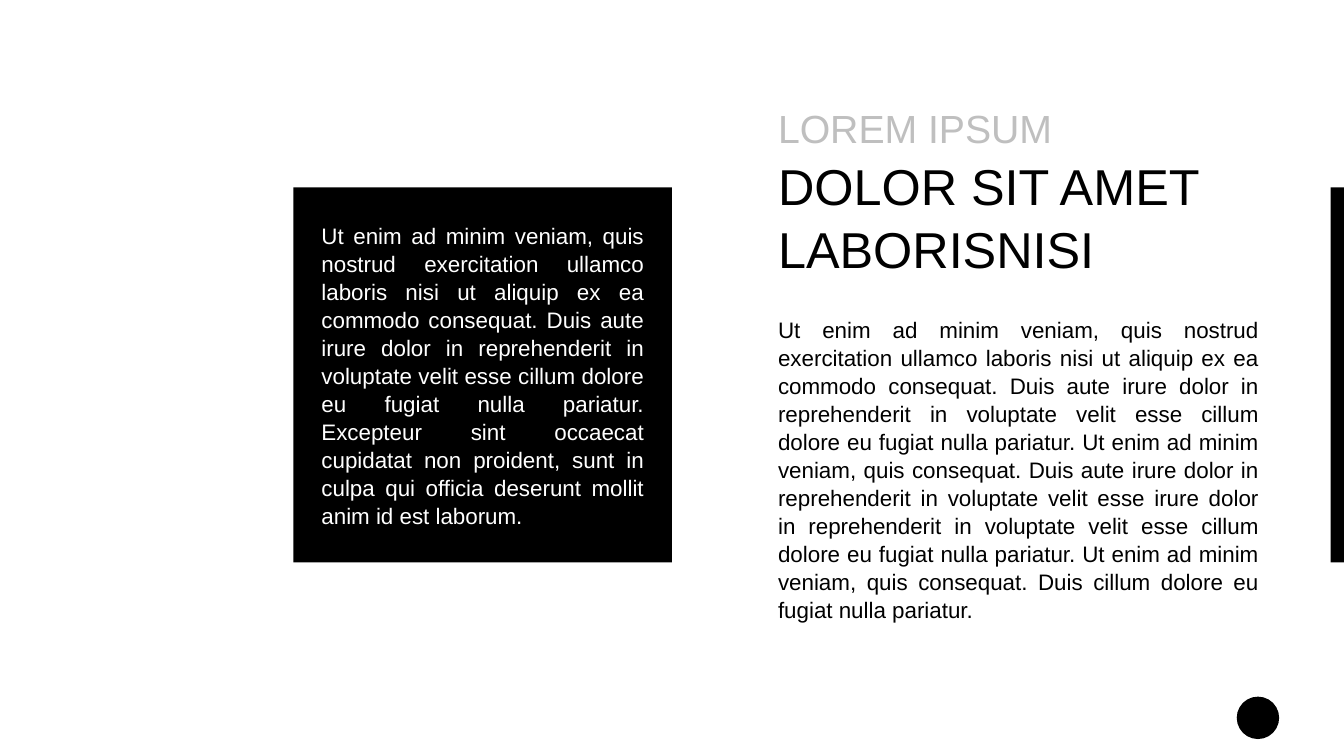
from dataclasses import dataclass

from pptx import Presentation
from pptx import util as u
from pptx.dml.color import RGBColor
from pptx.enum import shapes, text


@dataclass(frozen=True)
class Theme:
    font: str = "Arial"
    black: str = "000000"
    white: str = "FFFFFF"
    gray: str = "BFBFBF"
    body: int = 16
    lead: int = 28
    title: int = 36
    tight: float = 1.04
    loose: float = 1.05


THEME = Theme()
LEFT, JUST = text.PP_ALIGN.LEFT, text.PP_ALIGN.JUSTIFY
TOP, MID = text.MSO_ANCHOR.TOP, text.MSO_ANCHOR.MIDDLE
RECT, OVAL = shapes.MSO_SHAPE.RECTANGLE, shapes.MSO_SHAPE.OVAL

CARD = (
    "Ut enim ad minim veniam, quis nostrud exercitation ullamco laboris nisi "
    "ut aliquip ex ea commodo consequat. Duis aute irure dolor in "
    "reprehenderit in voluptate velit esse cillum dolore eu fugiat nulla "
    "pariatur. Excepteur sint occaecat cupidatat non proident, sunt in culpa "
    "qui officia deserunt mollit anim id est laborum."
)
BODY = (
    "Ut enim ad minim veniam, quis nostrud exercitation ullamco laboris nisi "
    "ut aliquip ex ea commodo consequat. Duis aute irure dolor in "
    "reprehenderit in voluptate velit esse cillum dolore eu fugiat nulla "
    "pariatur. Ut enim ad minim veniam, quis consequat. Duis aute irure dolor "
    "in reprehenderit in voluptate velit esse irure dolor in reprehenderit in "
    "voluptate velit esse cillum dolore eu fugiat nulla pariatur. Ut enim ad "
    "minim veniam, quis consequat. Duis cillum dolore eu fugiat nulla "
    "pariatur."
)


def assign(item, values):
    for name, value in values.items():
        setattr(item, name, value)


def block(slide, kind, box, fill):
    """Add a flat shape without line or shadow."""
    shape = slide.shapes.add_shape(kind, *map(u.Pt, box))
    shape.shadow.inherit = False
    shape.fill.solid()
    shape.fill.fore_color.rgb = RGBColor.from_string(fill)
    shape.line.fill.background()
    return shape


def write(shape, lines, inset, anchor, align, space):
    """Set lines of (words, size, color), one paragraph each."""
    frame = shape.text_frame
    sides = ("left", "top", "right", "bottom")
    assign(frame, {f"margin_{side}": u.Pt(inset) for side in sides})
    assign(frame, {"word_wrap": True, "vertical_anchor": anchor})
    for i, (words, size, color) in enumerate(lines):
        para = frame.add_paragraph() if i else frame.paragraphs[0]
        assign(para, {"alignment": align, "line_spacing": space})
        run = para.add_run()
        run.text = words
        assign(run.font, {"name": THEME.font, "size": u.Pt(size)})
        run.font.color.rgb = RGBColor.from_string(color)


def card(slide, box):
    """Black panel with white text."""
    shape = block(slide, RECT, box, THEME.black)
    lines = [(CARD, THEME.body, THEME.white)]
    write(shape, lines, 20, MID, JUST, THEME.tight)


def story(slide, box):
    """Heading with the body text below it."""
    x, y, w, h = box
    head = 149.8
    title = block(slide, RECT, (x, y, w - 9.3, head), THEME.white)
    lines = [
        ("LOREM IPSUM", THEME.lead, THEME.gray),
        ("DOLOR SIT AMET", THEME.title, THEME.black),
        ("LABORISNISI", THEME.title, THEME.black),
    ]
    write(title, lines, 14.4, MID, LEFT, THEME.loose)
    area = (x, y + head, w, h - head)
    body = slide.shapes.add_textbox(*map(u.Pt, area))
    lines = [(BODY, THEME.body, THEME.black)]
    write(body, lines, 14.4, TOP, JUST, THEME.tight)


def main():
    deck = Presentation()
    wide, high = 960, 540
    assign(deck, {"slide_width": u.Pt(wide), "slide_height": u.Pt(high)})
    slide = deck.slides.add_slide(deck.slide_layouts[6])

    # Panel and edge bar share one band
    top, tall, bar = 133.9, 267.9, 9.6
    card(slide, (209.6, top, 270.4, tall))
    block(slide, RECT, (wide - bar, top, bar, tall), THEME.black)

    # Right column
    story(slide, (541.4, 61.2, 372.2, 320.4))

    # Corner mark
    block(slide, OVAL, (883.4, 497.6, 30.3, 30.3), THEME.black)

    deck.save("out.pptx")


if __name__ == "__main__":
    main()
